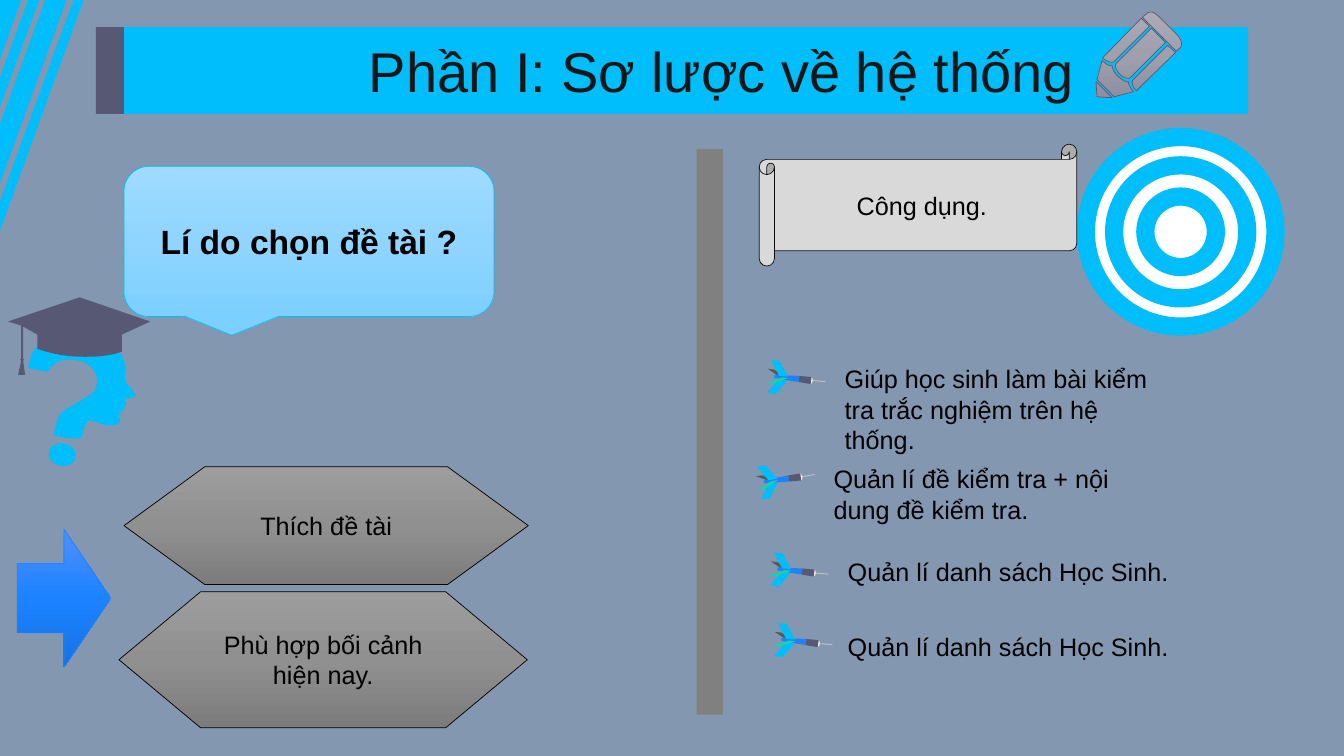
from copy import deepcopy
from math import cos, radians, sin

from pptx import Presentation
from pptx.dml.color import RGBColor
from pptx.enum.shapes import MSO_SHAPE
from pptx.enum.text import MSO_ANCHOR, MSO_AUTO_SIZE, PP_ALIGN
from pptx.oxml.ns import qn
from pptx.util import Inches, Pt

CELL = Inches(0.1)  # one column wide, one row high
CYAN, SLATE, BLUE = "00BDFB", "565874", "1C82FF"
GREYS = ("9D9D9D", "909090", "7C7C7C")

# Each outline is a list of contours; a step has 2 numbers (line) or 6 (curve).
STRIPES = [
    "7.3 0, 8.3 0, 0 22.9, 0 20",
    "3.9 0, 0 10.6, 0 7.7, 2.8 0",
    "6.6 0, 0 18.2, 0 12.3, 4.5 0",
    "0 0, 2.1 0, 0 5.9",
]
PENCIL = [
    "108.7 8.1, 110.3 9.7, 108.8 9.6",
    "109.3 6, 109.7 6.4 110.1 6.6 110.3 6.5, 110.3 6.8 110.5 7.2 110.9 7.6, "
    "111.3 7.9 111.7 8.2 111.9 8.1, 111.9 8.3 112.1 8.7 112.4 9.1, 110.5 9.6, 108.8 7.9",
    "115.8 4.5, 116.6 5.2, 112.7 9, 112.3 8.6 112.2 8.1 112.4 7.9",
    "114.2 2.8, 115.6 4.2, 112.1 7.7, 111.9 7.9 111.4 7.7 111.1 7.4, "
    "110.7 7 110.5 6.5 110.7 6.3",
    "113.2 1.8, 114 2.6, 110.5 6.1, 110.3 6.3 109.8 6.1 109.4 5.8, 109.4 5.7",
    "114.3 1.2, 114.5 1.3 114.8 1.5 115 1.7, 116.7 3.4, 117.2 3.9 117.3 4.4 117.1 4.7, "
    "117 4.8 116.8 4.9 116.7 5.1, 113.3 1.7, 113.8 1.3, 113.9 1.2 114.1 1.2 114.3 1.2",
]
QUESTION_HEAD = [
    "6.3 44, 7.1 44.1 7.6 44.6 7.5 45.3, 7.5 45.9 6.8 46.3 6.1 46.2, "
    "5.3 46.1 4.8 45.6 4.9 44.9, 4.9 44.3 5.6 43.9 6.3 44",
    "8.5 33.1, 10 33.5, 10.8 33.9, 11.6 34.5, 12.1 35.3, 12.3 35.8, 12.5 36.6, 12.4 37.1, "
    "12.4 37.7, 12.6 38.1, 13 38.5, 13.3 38.9, 13.4 39.2, 13.3 39.4, 12.9 39.5, 12.4 39.6, "
    "12.4 39.8, 12.5 40, 12.5 40.2, 12.3 40.4, 12.3 40.7, 12.1 40.8, 11.9 40.9, 11.8 41.2, "
    "11.9 41.5, 11.9 41.8, 11.7 42.1, 11.3 42.2, 10.5 42.2, 9.9 42, 9 41.7, 8.7 41.8, "
    "8.4 42.3, 8.2 43.1, 8 43.5, 7 43.5, 5.3 43.2, 5.5 42.4, 5.6 41.9 5.8 41.4 6 41, "
    "6.4 40.6 8.3 39.7 9.3 38.9, 9.5 38.7 10.1 37.2 8.9 36.3, 8.4 35.8 7.3 35.6 6.5 35.7, "
    "6 35.7 5.2 36.1 4.7 36.9, 2.8 36.5, 2.9 35.9, 3.2 35, 3.5 34.6, 4.2 33.9, 5 33.4, "
    "6 33.1, 7.2 33, 8 33",
]
GRADUATE_CAP = [
    "7.9 29.5, 0.8 31.9, 2.1 32.3, 2.1 35.6, 2 35.7, 2.1 35.8, 1.8 37.2, 2.5 37.2, 2.3 35.8, "
    "2.4 35.7, 2.3 35.6, 2.3 32.4, 3.7 33.2, 3.7 34.6, 5 35.1 6.6 35.4 8.4 35.4, "
    "9.7 35.4 10.9 35.3 12.1 34.9, 12.1 33.2, 14.9 31.9",
]
# Dart parts, measured from the middle of the rear feather.
# Outline: points, colour. Preset: kind, centre, size, turn, flips, adjustments, colour.
VANE = MSO_SHAPE.PARALLELOGRAM
DART = [
    (VANE, (0, 0), (2, 0.7), 6, "V", [1.92], "595959"),
    ("3.4 0.65, 4.7 0.75, 4.8 0.85, 4.7 0.85, 3.4 0.75", "BFBFBF"),
    ("2.2 0.25, -0.3 0.15, -0.3 0.45, 2.1 0.85", BLUE),
    (MSO_SHAPE.CHORD, (3.3, 0.7), (0.4, 0.7), 186, "V", [53.91, 162], "F2F2F2"),
    ("3.4 0.35, 2.2 0.25, 2.1 0.85, 3.3 1.05", SLATE),
    (VANE, (0, 1.3), (1.8, 1.5), 8, "HV", [0.62], CYAN),
    (VANE, (0.2, -0.5), (1.8, 1.5), 4, "V", [0.62], CYAN),
    (VANE, (0, 0.7), (2.1, 0.7), 6, "HV", [2.06], "1ED0A6"),
]
# Dart place and turn, text place, text
USES = [
    ((77.1, 37.05), 0, (82.8, 35.6), "Giúp học sinh làm bài kiểm tra trắc nghiệm trên hệ thống."),
    ((76, 47.45), -14, (81.7, 45.5), "Quản lí đề kiểm tra + nội dung đề kiểm tra."),
    ((77.4, 56.15), 0, (83.1, 54.7), "Quản lí danh sách Học Sinh."),
    ((77.8, 63.15), 0, (83.1, 62.1), "Quản lí danh sách Học Sinh."),
]


def color(code):
    return RGBColor.from_string(code)


def cells(*counts):
    return [round(count * CELL) for count in counts]


def trace(contour):
    """Turn a contour into points, with each curve cut into short lines."""
    points = []
    for step in contour.split(","):
        numbers = [float(word) for word in step.split()]
        if len(numbers) == 2:
            points.append(tuple(numbers))
            continue
        corners = [points[-1], *zip(numbers[::2], numbers[1::2])]
        for t in (part / 8 for part in range(1, 9)):
            weights = ((1 - t) ** 3, 3 * t * (1 - t) ** 2, 3 * t * t * (1 - t), t ** 3)
            points.append(tuple(sum(w * corner[axis] for w, corner in zip(weights, corners))
                                for axis in (0, 1)))
    return points


def turned(point, angle, origin):
    (x, y), a = point, radians(angle)
    return origin[0] + x * cos(a) - y * sin(a), origin[1] + x * sin(a) + y * cos(a)


class Page:
    font = {"name": "Arial", "size": Pt(18), "bold": False}
    ink = "000000"

    def __init__(self, deck, background):
        self.slide = deck.slides.add_slide(deck.slide_layouts[5])
        self.shapes = self.slide.shapes
        self.slide.background.fill.solid()
        self.slide.background.fill.fore_color.rgb = color(background)

    def paint(self, shape, fill, line=None, width=0.5):
        """Fill with one colour, or with several from top to bottom."""
        shape.shadow.inherit = False
        if isinstance(fill, str):
            shape.fill.solid()
            shape.fill.fore_color.rgb = color(fill)
        else:
            shape.fill.gradient()
            shape.fill.gradient_angle = 270
            stops = shape._element.spPr.find(qn("a:gradFill")).find(qn("a:gsLst"))
            stops.insert(1, deepcopy(stops[0]))
            for stop, code, position in zip(shape.fill.gradient_stops, fill, (0, 0.5, 1)):
                stop.color.rgb, stop.position = color(code), position
        if line:
            shape.line.color.rgb = color(line)
            shape.line.width = Pt(width)
        else:
            shape.line.fill.background()
        return shape

    def label(self, shape, text, align=PP_ALIGN.CENTER, ink=None, frame=None, **font):
        layout = {"word_wrap": True, "vertical_anchor": MSO_ANCHOR.MIDDLE, **(frame or {})}
        for name, value in layout.items():
            setattr(shape.text_frame, name, value)
        para = shape.text_frame.paragraphs[0]
        para.alignment = align
        span = para.add_run()
        span.text = text
        for name, value in {**self.font, **font}.items():
            setattr(span.font, name, value)
        span.font.color.rgb = color(ink or self.ink)

    def title(self, place, text, fill, **style):
        box = self.shapes.title
        box.left, box.top, box.width, box.height = cells(*place)
        self.paint(box, fill)
        self.label(box, text, **style)

    def preset(self, kind, place, fill, line=None, width=0.5, host=None):
        shape = (host or self.shapes).add_shape(kind, *cells(*place))
        return self.paint(shape, fill, line, width)

    def outline(self, contours, fill, line=None, host=None):
        first, *others = [[cells(*point) for point in contour] for contour in contours]
        builder = (host or self.shapes).build_freeform(*first[0], scale=1.0)
        builder.add_line_segments(first[1:])
        for contour in others:
            builder.move_to(*contour[0])
            builder.add_line_segments(contour[1:])
        return self.paint(builder.convert_to_shape(), fill, line)

    def note(self, place, text):
        box = self.shapes.add_textbox(*cells(*place))
        self.label(box, text, PP_ALIGN.LEFT, frame={
            "vertical_anchor": MSO_ANCHOR.TOP, "auto_size": MSO_AUTO_SIZE.SHAPE_TO_FIT_TEXT})

    def dart(self, place, angle):
        host = self.shapes.add_group_shape().shapes
        for part in DART:
            if isinstance(part[0], str):
                points = [turned(point, angle, place) for point in trace(part[0])]
                self.outline([points], part[1], host=host)
                continue
            kind, centre, (width, height), turn, flips, adjustments, fill = part
            x, y = turned(centre, angle, place)
            shape = self.preset(kind, (x - width / 2, y - height / 2, width, height), fill, host=host)
            shape.rotation = (turn + angle) % 360
            for index, value in enumerate(adjustments):
                shape.adjustments[index] = value
            for flip in flips:
                shape._element.spPr.find(qn("a:xfrm")).set("flip" + flip, "1")


def main():
    deck = Presentation()
    deck.slide_width, deck.slide_height = Inches(13.33), Inches(7.5)
    page = Page(deck, "8497B0")
    page.title((9.5, 2.7, 114.3, 8.6), "Phần I: Sơ lược về hệ thống", CYAN, ink="181717",
               size=Pt(40), frame={"margin_left": Inches(1.08), "auto_size": MSO_AUTO_SIZE.NONE})
    page.preset(MSO_SHAPE.RECTANGLE, (9.5, 2.7, 2.8, 8.6), SLATE)
    for contours, fill, line in (
        (STRIPES, CYAN, None),
        (PENCIL, ("ABABB7", "9FA0AC", "8E8FA0"), SLATE),
        (QUESTION_HEAD, CYAN, None),
        (GRADUATE_CAP, SLATE, None),
    ):
        page.outline([trace(contour) for contour in contours], fill, line)

    callout = page.preset(MSO_SHAPE.ROUNDED_RECTANGULAR_CALLOUT, (12.3, 16.5, 36.7, 14.9),
                          ("9EDBFF", "90D5FF", "7CD0FF"), CYAN)
    page.label(callout, "Lí do chọn đề tài ?", size=Pt(24), bold=True)
    page.preset(MSO_SHAPE.RIGHT_ARROW, (1.7, 52.5, 9.3, 13.7), ("5090FF", BLUE, "1773E5"), BLUE)
    for place, reason in (((12.3, 46.3, 40.1, 11.7), "Thích đề tài"),
                          ((11.8, 58.7, 40.5, 13.5), "Phù hợp bối cảnh hiện nay.")):
        page.label(page.preset(MSO_SHAPE.FLOWCHART_PREPARATION, place, GREYS, "000000"), reason)

    page.preset(MSO_SHAPE.RECTANGLE, (69.1, 14.8, 2.6, 56.1), "808080")
    for size in (18.8, 13.2, 7):
        ring = (117.1 - size / 2, 23 - size / 2, size, size)
        page.preset(MSO_SHAPE.OVAL, ring, "FFFFFF", CYAN, 13)
    scroll = page.preset(MSO_SHAPE.HORIZONTAL_SCROLL, (75.3, 14.3, 31.5, 12.1), "D9D9D9", "0D0D0D")
    page.label(scroll, "Công dụng.")
    for dart_place, angle, (left, top), use in USES:
        page.dart(dart_place, angle)
        page.note((left, top, 34.7, 4), use)
    deck.save("out.pptx")


if __name__ == "__main__":
    main()
